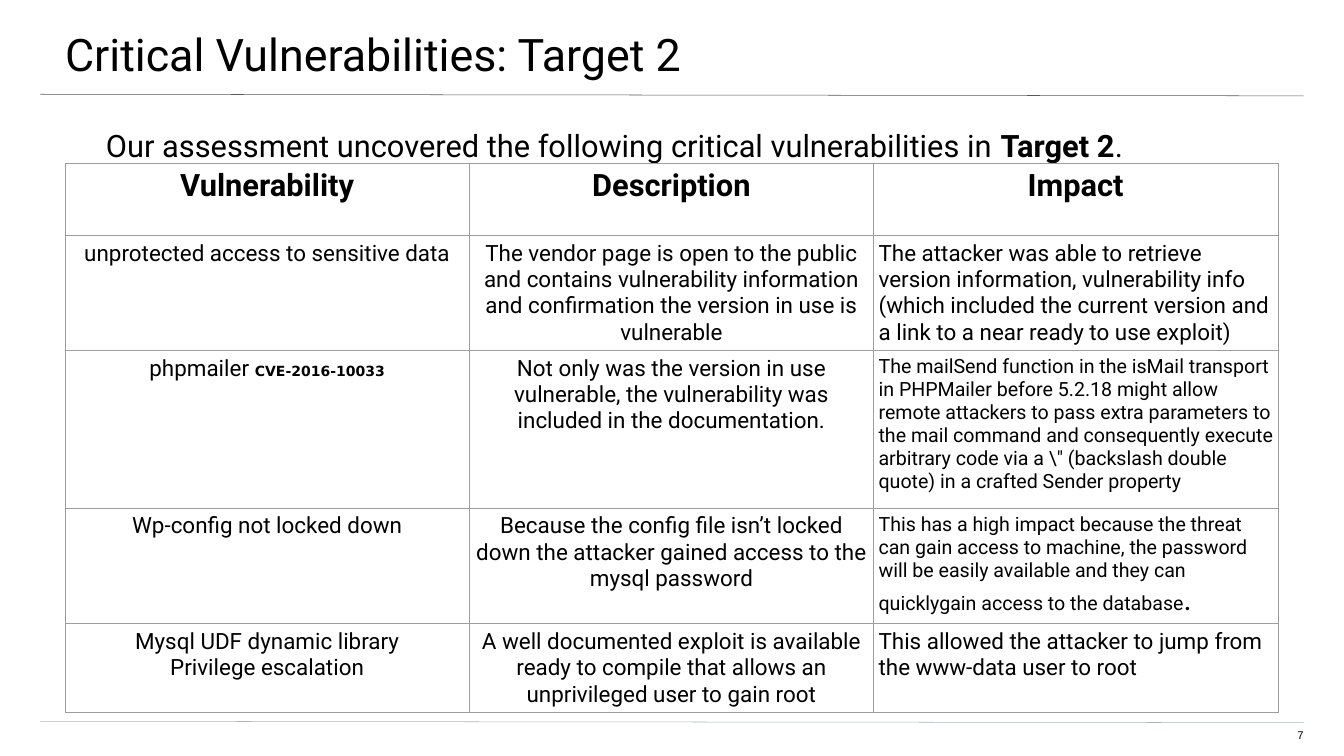
from lxml.etree import SubElement
from pptx import Presentation
from pptx.dml.color import RGBColor
from pptx.enum.shapes import MSO_CONNECTOR
from pptx.enum.text import MSO_ANCHOR, MSO_AUTO_SIZE, PP_ALIGN
from pptx.oxml.ns import qn
from pptx.util import Cm, Pt

COLORS = {"text": "000000", "top rule": "595959", "bottom rule": "A9B7C0", "grid": "9E9E9E"}
FONT = "Roboto"

TITLE = "Critical Vulnerabilities: Target 2"
INTRO = [
    ("Our assessment uncovered the following critical vulnerabilities in ", {}),
    ("Target 2", {"bold": True}),
    (".", {}),
]
PAGE_NUMBER = "7"

# Each cell is a list of (text, style) spans; a line break starts a new paragraph.
HEAD, SMALL = {"size": 44, "bold": True}, {"size": 28}
ROWS = [
    [[("Vulnerability", HEAD)], [("Description", HEAD)], [("Impact", HEAD)]],
    [
        [("unprotected access to sensitive data", {})],
        [("The vendor page is open to the public and contains vulnerability information "
          "and confirmation the version in use is vulnerable", {})],
        [("The attacker was able to retrieve version information, vulnerability info "
          "(which included the current version and a link to a near ready to use exploit)", {})],
    ],
    [
        [("phpmailer ", {}),
         ("CVE-2016-10033", {"size": 20, "bold": True, "name": "DejaVu Sans"})],
        [("Not only was the version in use vulnerable, the vulnerability was included "
          "in the documentation.", {})],
        [("The mailSend function in the isMail transport in PHPMailer before 5.2.18 might "
          "allow remote attackers to pass extra parameters to the mail command and "
          "consequently execute arbitrary code via a \\\" (backslash double quote) in a "
          "crafted Sender property", SMALL)],
    ],
    [
        [("Wp-config not locked down", {})],
        [("Because the config file isn’t locked down the attacker gained access to the "
          "mysql password", {})],
        [("This has a high impact because the threat can gain access to machine, the "
          "password will be easily available and they can quicklygain access to the "
          "database", SMALL), (".", {"size": 44})],
    ],
    [
        [("Mysql UDF dynamic library\nPrivilege escalation", {})],
        [("A well documented exploit is available ready to compile that allows an "
          "unprivileged user to gain root", {})],
        [("This allowed the attacker to jump from the www-data user to root", {})],
    ],
]
ROW_HEIGHTS = [3.63, 5.79, 7.95, 5.82, 4.47]
COLUMN_WIDTH = 20.37
RULES = [("top rule", 4.75, 4.83), ("bottom rule", 36.35, 36.42)]


def color(name):
    return RGBColor.from_string(COLORS[name])


def write(frame, spans, size, align=PP_ALIGN.LEFT):
    frame.word_wrap = True
    paragraph = frame.paragraphs[0]
    for text, style in spans:
        for number, line in enumerate(text.split("\n")):
            if number:
                paragraph = frame.add_paragraph()
            span = paragraph.add_run()
            span.text = line
            span.font.name = style.get("name", FONT)
            span.font.size = Pt(style.get("size", size))
            span.font.bold = style.get("bold", False)
            span.font.color.rgb = color("text")
    for paragraph in frame.paragraphs:
        paragraph.alignment = align
        paragraph.space_before = Pt(0)
        paragraph.line_spacing = 1.0


def place(box, position, insets):
    box.left, box.top, box.width, box.height = (Cm(value) for value in position)
    frame = box.text_frame
    frame.auto_size = MSO_AUTO_SIZE.NONE
    frame.vertical_anchor = MSO_ANCHOR.TOP
    (frame.margin_left, frame.margin_top,
     frame.margin_right, frame.margin_bottom) = (Cm(value) for value in insets)
    return frame


def add_rule(page, name, start, end):
    rule = page.shapes.add_connector(
        MSO_CONNECTOR.STRAIGHT, Cm(2.03), Cm(start), Cm(65.68), Cm(end))
    rule.line.color.rgb = color(name)
    rule.line.width = Pt(0.75)
    SubElement(rule._element.spPr, qn("a:effectLst"))


def add_borders(cell):
    properties = cell._tc.get_or_add_tcPr()
    for index, side in enumerate(("a:lnL", "a:lnR", "a:lnT", "a:lnB")):
        line = properties.makeelement(qn(side), {"w": str(Pt(0.75))})
        fill = SubElement(line, qn("a:solidFill"))
        SubElement(fill, qn("a:srgbClr"), val=COLORS["grid"])
        properties.insert(index, line)


def add_grid(page):
    table = page.shapes.add_table(
        len(ROWS), len(ROWS[0]), Cm(3.28), Cm(8.23),
        Cm(COLUMN_WIDTH * len(ROWS[0])), Cm(sum(ROW_HEIGHTS))).table
    table.horz_banding = False
    for column in table.columns:
        column.width = Cm(COLUMN_WIDTH)
    for row_index, (row, height) in enumerate(zip(ROWS, ROW_HEIGHTS)):
        table.rows[row_index].height = Cm(height)
        for column_index, spans in enumerate(row):
            cell = table.cell(row_index, column_index)
            cell.fill.background()
            cell.margin_left = cell.margin_right = Cm(0.25)
            cell.margin_top = cell.margin_bottom = Cm(0.25)
            left_aligned = row_index > 0 and column_index == 2
            write(cell.text_frame, spans, 32,
                  PP_ALIGN.LEFT if left_aligned else PP_ALIGN.CENTER)
            add_borders(cell)


def main():
    deck = Presentation()
    deck.slide_width, deck.slide_height = Cm(67.72), Cm(38.1)
    page = deck.slides.add_slide(deck.slide_layouts[1])

    for rule in RULES:
        add_rule(page, *rule)

    title = place(page.shapes.title, (-0.1, 0, 67.89, 3.96), (3.38, 1.35, 2.03, 0.69))
    write(title, [(TITLE, {})], 64)

    body = place(page.placeholders[1], (1.96, 6.38, 65.02, 30.35), (3.38, 0, 3.38, 6.78))
    properties = body.paragraphs[0]._p.get_or_add_pPr()
    properties.set("marL", "0")
    properties.set("indent", "0")
    SubElement(properties, qn("a:buNone"))
    write(body, INTRO, 44)

    number_box = page.shapes.add_textbox(0, 0, 0, 0)
    number = place(number_box, (63.75, 36.73, 1.93, 0.79), (0, 0, 0, 0.69))
    write(number, [(PAGE_NUMBER, {"name": "Arial"})], 16, PP_ALIGN.RIGHT)

    add_grid(page)
    deck.save("out.pptx")


if __name__ == "__main__":
    main()
